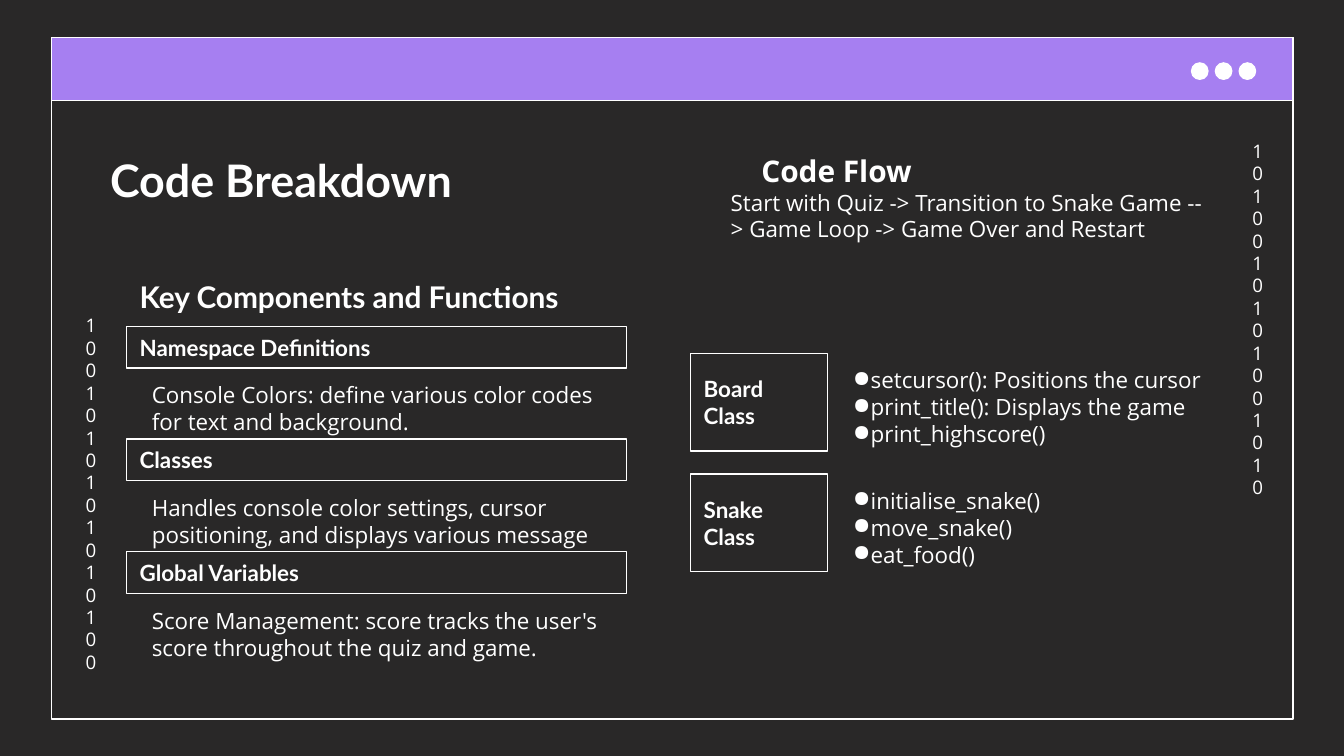
from lxml.etree import SubElement
from pptx import Presentation
from pptx.dml.color import RGBColor
from pptx.enum.shapes import MSO_SHAPE as Shape
from pptx.enum.text import MSO_ANCHOR as Anchor, MSO_AUTO_SIZE as AutoSize, PP_ALIGN as Align
from pptx.oxml.ns import qn
from pptx.util import Cm, Pt

# Content
TITLE = "Code Breakdown"
FLOW_HEADING = "Code Flow"
FLOW = "Start with Quiz -> Transition to Snake Game --> Game Loop -> Game Over and Restart"
COMPONENTS_HEADING = "Key Components and Functions"
COMPONENTS = [
    ("Namespace Definitions",
     "Console Colors: define various color codes for text and background."),
    ("Classes",
     "Handles console color settings, cursor positioning, and displays various message"),
    ("Global Variables",
     "Score Management: score tracks the user's score throughout the quiz and game."),
]
CLASSES = [
    ("Board Class", ["setcursor(): Positions the cursor",
                     "print_title(): Displays the game",
                     "print_highscore()"]),
    ("Snake Class", ["initialise_snake()", "move_snake()", "eat_food()"]),
]
BINARY_COLUMNS = [  # digits, left, top
    ("1010010101001010", 23.42, 2.39),
    ("1001010101010100", 1.37, 5.69),
]

# Style
DARK = RGBColor(0x29, 0x28, 0x28)
PURPLE = RGBColor(0xA6, 0x7F, 0xF1)
WHITE = RGBColor(0xFF, 0xFF, 0xFF)
HEAD = {"name": "Lato", "bold": True}
BODY = {"name": "Open Sans", "bold": False}
INSET, WIDE_INSET = 0.25, 0.48

# Layout, in cm
SLIDE_SIZE = (25.4, 14.29)
WINDOW = (0.97, 0.71, 23.47, 12.88)
BAR_HEIGHT = 1.19
DOT_LEFT, DOT_TOP, DOT_SIZE, DOT_STEP = 22.52, 1.19, 0.31, 0.45
DIGIT_WIDTH, DIGIT_HEIGHT = 0.6, 7.11
COMPONENT_LEFT, COMPONENT_TOP, COMPONENT_WIDTH = 2.39, 6.17, 9.45
LABEL_HEIGHT, DETAIL_HEIGHT = 0.79, 1.34
CLASS_LEFT, CLASS_TOP, CLASS_WIDTH, CLASS_HEIGHT = 13.05, 6.68, 2.59, 1.85
CLASS_STEP, METHODS_WIDTH = 2.28, 7.37


def set_all(target, values):
    for name, value in values.items():
        setattr(target, name, value)


def fill_text(shape, paragraphs, size, style, anchor=Anchor.TOP, align=Align.LEFT,
              left_inset=INSET):
    frame = shape.text_frame
    set_all(frame, {"word_wrap": True, "auto_size": AutoSize.NONE,
                    "vertical_anchor": anchor, "margin_left": Cm(left_inset),
                    "margin_right": Cm(INSET), "margin_top": Cm(INSET),
                    "margin_bottom": Cm(INSET)})
    frame.text = "\n".join(paragraphs)
    for paragraph in frame.paragraphs:
        paragraph.alignment = align
        format_font(paragraph.runs[0].font, size, style)
    return frame


def format_font(font, size, style):
    set_all(font, {**style, "size": Pt(size)})
    font.color.rgb = WHITE


def add_text(slide, box, paragraphs, size, style, **options):
    shape = slide.shapes.add_textbox(*map(Cm, box))
    return fill_text(shape, paragraphs, size, style, **options)


def add_outlined(slide, kind, box, fill=None):
    shape = slide.shapes.add_shape(kind, *map(Cm, box))
    shape.shadow.inherit = False
    if fill is None:
        shape.fill.background()
    else:
        shape.fill.solid()
        shape.fill.fore_color.rgb = fill
    shape.line.color.rgb = WHITE
    shape.line.width = Pt(0.75)
    return shape


def add_label(slide, box, text):
    shape = add_outlined(slide, Shape.RECTANGLE, box)
    fill_text(shape, [text], 12, HEAD, anchor=Anchor.MIDDLE)


def indent(paragraph, left, first=0.0):
    properties = paragraph._p.get_or_add_pPr()
    properties.set("marL", str(Cm(left)))
    properties.set("indent", str(Cm(first)))
    return properties


def add_bullet(paragraph):
    properties = indent(paragraph, 0.15, -0.38)
    color = SubElement(properties, qn("a:buClr"))
    SubElement(color, qn("a:srgbClr"), val=str(WHITE))
    SubElement(properties, qn("a:buChar"), char="●")


def main():
    presentation = Presentation()
    presentation.slide_width, presentation.slide_height = map(Cm, SLIDE_SIZE)
    slide = presentation.slides.add_slide(presentation.slide_layouts[5])
    slide.background.fill.solid()
    slide.background.fill.fore_color.rgb = DARK

    # Window frame with title bar and dots
    add_outlined(slide, Shape.RECTANGLE, WINDOW)
    add_outlined(slide, Shape.RECTANGLE, (*WINDOW[:3], BAR_HEIGHT), PURPLE)
    for index in range(3):
        dot = (DOT_LEFT + index * DOT_STEP, DOT_TOP, DOT_SIZE, DOT_SIZE)
        add_outlined(slide, Shape.OVAL, dot, WHITE)

    # Binary columns: the narrow box wraps after every digit
    for digits, left, top in BINARY_COLUMNS:
        add_text(slide, (left, top, DIGIT_WIDTH, DIGIT_HEIGHT), [digits], 10, BODY,
                 align=Align.CENTER)

    # Title and headings
    title = slide.shapes.title
    set_all(title, {"left": Cm(1.83), "top": Cm(2.64),
                    "width": Cm(11.73), "height": Cm(1.35)})
    fill_text(title, [TITLE], 24, HEAD)
    flow = add_text(slide, (13.56, 2.64, 9.45, 2.39), [FLOW_HEADING, FLOW], 12, BODY)
    heading = flow.paragraphs[0]
    format_font(heading.runs[0].font, 16, {**BODY, "bold": True})
    indent(heading, 0.58)
    add_text(slide, (COMPONENT_LEFT, 5.03, 11.18, 1.14), [COMPONENTS_HEADING], 16, HEAD,
             anchor=Anchor.MIDDLE)

    # Key components: label above its description
    for index, (label, detail) in enumerate(COMPONENTS):
        top = COMPONENT_TOP + index * (LABEL_HEIGHT + DETAIL_HEIGHT)
        add_text(slide, (COMPONENT_LEFT, top + LABEL_HEIGHT, COMPONENT_WIDTH, DETAIL_HEIGHT),
                 [detail], 12, BODY, left_inset=WIDE_INSET)
        add_label(slide, (COMPONENT_LEFT, top, COMPONENT_WIDTH, LABEL_HEIGHT), label)

    # Classes: label beside its methods
    for index, (label, methods) in enumerate(CLASSES):
        top = CLASS_TOP + index * CLASS_STEP
        frame = add_text(slide, (CLASS_LEFT + CLASS_WIDTH, top, METHODS_WIDTH, CLASS_HEIGHT),
                         methods, 12, BODY, left_inset=WIDE_INSET)
        for paragraph in frame.paragraphs:
            add_bullet(paragraph)
        add_label(slide, (CLASS_LEFT, top, CLASS_WIDTH, CLASS_HEIGHT), label)

    presentation.save("out.pptx")


if __name__ == "__main__":
    main()
